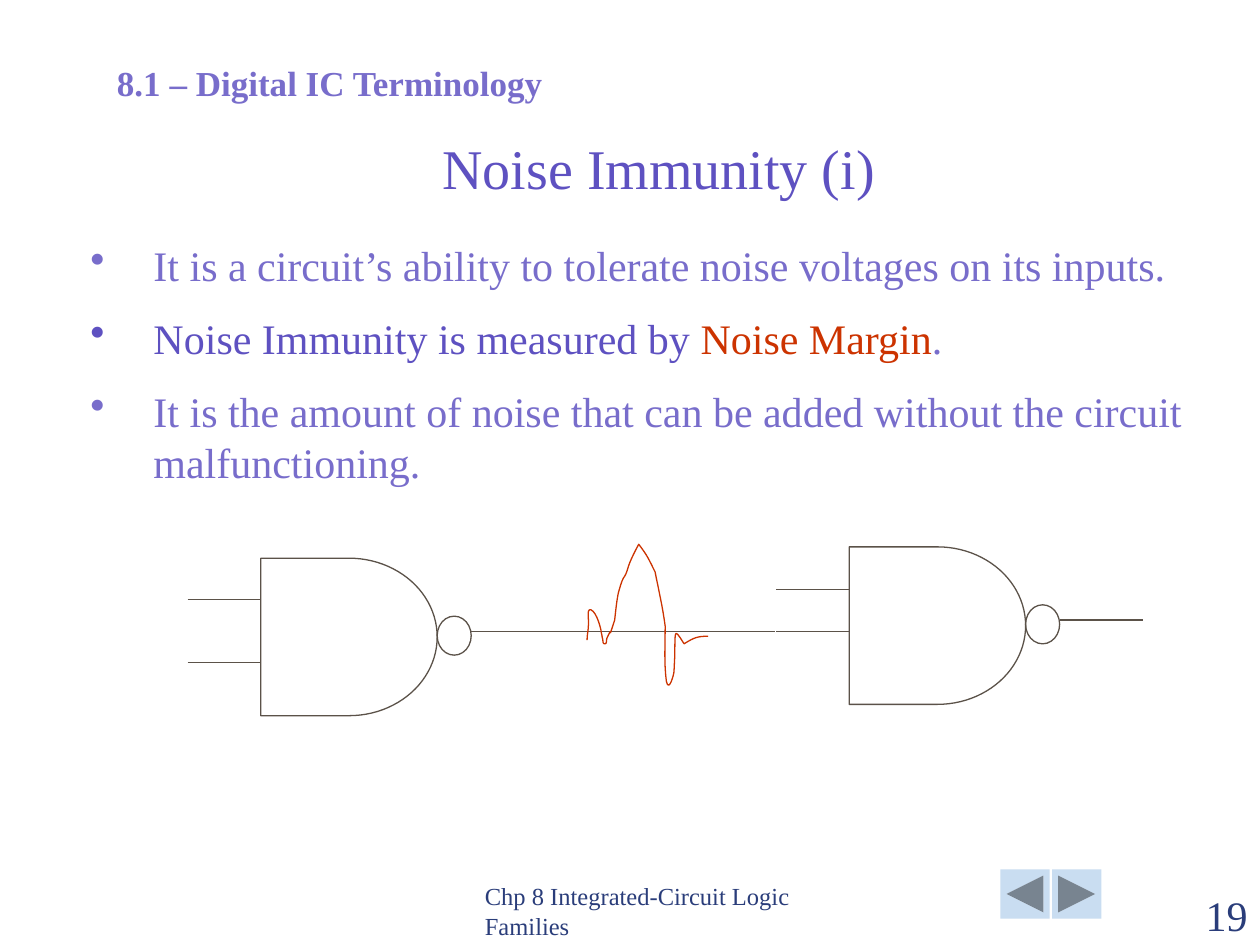
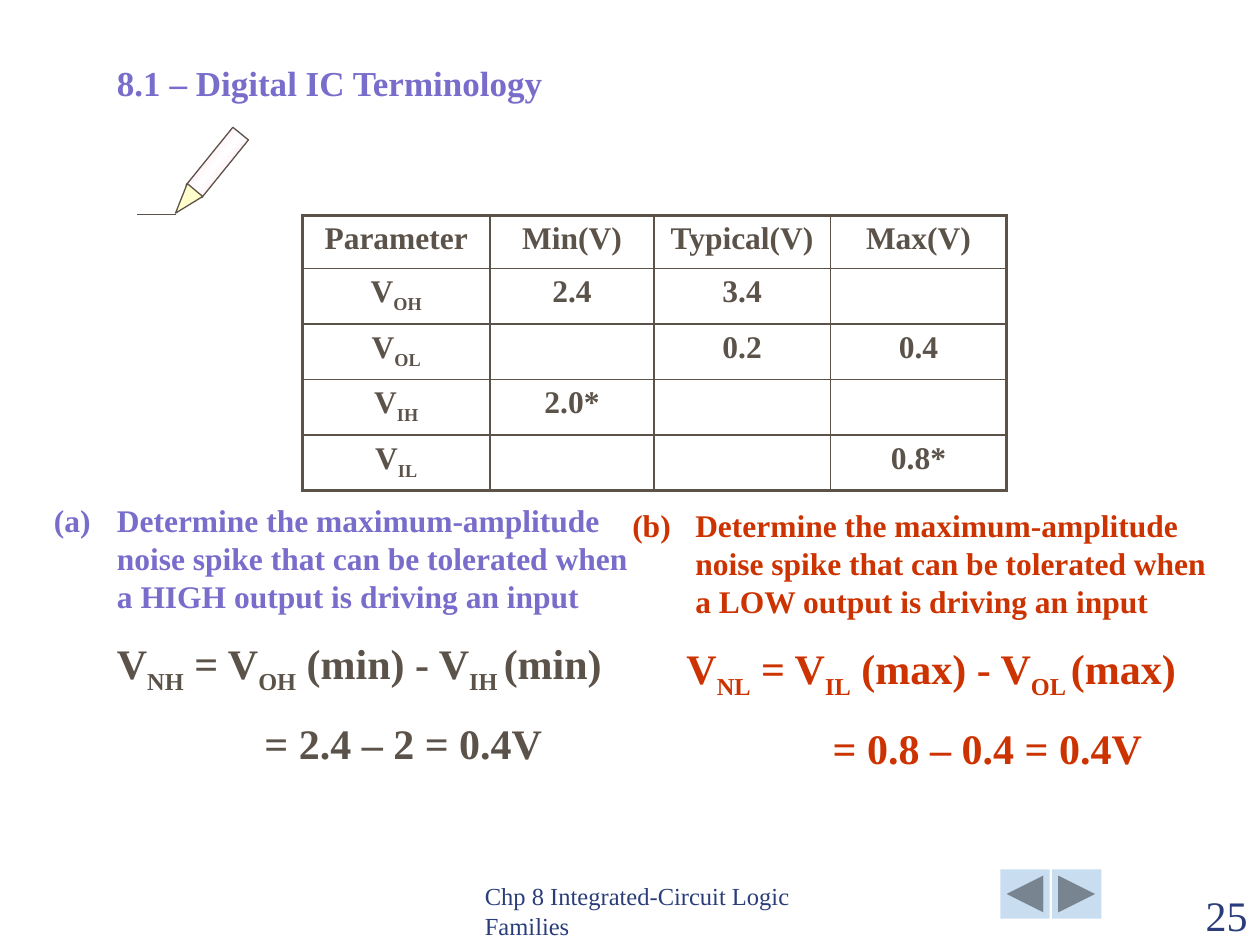
from dataclasses import dataclass
from copy import deepcopy
from typing import Any

from lxml.etree import SubElement
from pptx import Presentation
from pptx.dml.color import RGBColor
from pptx.enum.shapes import MSO_CONNECTOR, MSO_SHAPE
from pptx.enum.text import MSO_ANCHOR, MSO_AUTO_SIZE, PP_ALIGN
from pptx.oxml.ns import qn
from pptx.util import Inches, Pt

FONT = "Times New Roman"
VIOLET = "786DCB"
INDIGO = "5E51C1"
RED = "CC3300"
BROWN = "5B5249"
NAVY = "2A3D7A"
BUTTON_BLUE = "C9DDF1"
PINK = "FFC8DC"
WHITE = "FFFFFF"
CREAM = "FFFFCC"

THIN, INNER_BORDER, OUTER_BORDER = 0.75, 1, 2.25
PARAGRAPH_GAP = 13
TITLE_ONLY, BLANK = 5, 6
DOT = ("a:buChar", {"char": "•"})


@dataclass(frozen=True)
class Box:
    left: float
    top: float
    width: float
    height: float

    def lengths(self) -> tuple:
        return tuple(Inches(v) for v in (self.left, self.top, self.width, self.height))


@dataclass(frozen=True)
class TextRun:
    text: str
    color: str
    subscript: bool = False


@dataclass(frozen=True)
class TextParagraph:
    runs: list[TextRun]
    size: float
    bold: bool = False
    align: PP_ALIGN = PP_ALIGN.LEFT
    indent: float = 0
    hanging: float = 0
    bullet: tuple[str, dict[str, str]] | None = None
    line_spacing: float | None = None


@dataclass(frozen=True)
class NandGate:
    left: float
    top: float
    input_offsets: tuple[float, float]


@dataclass(frozen=True)
class NoiseProblem:
    box: Box
    color: str
    formula_color: str
    number: int
    question: str
    formula: str
    formula_indent: float
    result: str
    result_indent: float


def rgb(color: str) -> RGBColor:
    return RGBColor.from_string(color)


def set_format(target: Any, values: dict[str, Any]) -> None:
    for name, value in values.items():
        setattr(target, name, value)


def with_subscripts(text: str, color: str) -> list[TextRun]:
    """Split text at bars; every second part is a subscript."""
    return [TextRun(part, color, index % 2 == 1)
            for index, part in enumerate(text.split("|")) if part]


def write_paragraphs(text_frame: Any, paragraphs: list[TextParagraph]) -> None:
    for index, content in enumerate(paragraphs):
        paragraph = text_frame.paragraphs[0] if index == 0 else text_frame.add_paragraph()
        set_format(paragraph, {
            "alignment": content.align,
            "line_spacing": content.line_spacing,
            "space_before": Pt(PARAGRAPH_GAP if index else 0),
        })
        properties = paragraph._p.get_or_add_pPr()
        properties.set("marL", str(Inches(content.indent)))
        properties.set("indent", str(Inches(-content.hanging)))
        if content.bullet:
            tag, attributes = content.bullet
            SubElement(properties, qn(tag), attributes)
        for text_run in content.runs:
            run = paragraph.add_run()
            run.text = text_run.text
            set_format(run.font, {"name": FONT, "size": Pt(content.size), "bold": content.bold})
            run.font.color.rgb = rgb(text_run.color)
            if text_run.subscript:
                run._r.get_or_add_rPr().set("baseline", "-25000")


def add_text(slide: Any, box: Box, paragraphs: list[TextParagraph],
             anchor: MSO_ANCHOR = MSO_ANCHOR.TOP) -> None:
    text_frame = slide.shapes.add_textbox(*box.lengths()).text_frame
    set_format(text_frame, {"word_wrap": True, "vertical_anchor": anchor})
    write_paragraphs(text_frame, paragraphs)


def style_outline(shape: Any, color: str) -> None:
    shape.line.color.rgb = rgb(color)
    shape.line.width = Pt(THIN)


def add_shape(slide: Any, kind: MSO_SHAPE, box: Box, fill: str | None = None,
              outline: str | None = BROWN, rotation: float = 0) -> Any:
    shape = slide.shapes.add_shape(kind, *box.lengths())
    shape.shadow.inherit = False
    shape.rotation = rotation
    if fill:
        shape.fill.solid()
        shape.fill.fore_color.rgb = rgb(fill)
    else:
        shape.fill.background()
    if outline:
        style_outline(shape, outline)
    else:
        shape.line.fill.background()
    return shape


def add_wire(slide: Any, start: float, end: float, height: float) -> None:
    """Draw a thin horizontal line."""
    wire = slide.shapes.add_connector(
        MSO_CONNECTOR.STRAIGHT, Inches(start), Inches(height), Inches(end), Inches(height))
    style_outline(wire, BROWN)
    SubElement(wire._element.spPr, qn("a:effectLst"))


def add_frame(slide: Any, number: int) -> None:
    """Add the section heading, navigation buttons, footer and page number."""
    add_text(slide, Box(0.83, 0.44, 4.02, 0.43), [TextParagraph(
        [TextRun("8.1 – Digital IC Terminology", VIOLET)], 20, bold=True)])
    buttons = (MSO_SHAPE.ACTION_BUTTON_BACK_OR_PREVIOUS, MSO_SHAPE.ACTION_BUTTON_FORWARD_OR_NEXT)
    for index, kind in enumerate(buttons):
        add_shape(slide, kind, Box(7.94 + 0.41 * index, 6.9, 0.39, 0.39), BUTTON_BLUE, None)
    add_text(slide, Box(3.75, 7.01, 3.17, 0.5), [TextParagraph(
        [TextRun("Chp 8 Integrated-Circuit Logic Families", NAVY)], 14)], MSO_ANCHOR.BOTTOM)
    add_text(slide, Box(9, 7.01, 1, 0.5), [TextParagraph(
        [TextRun(str(number), NAVY)], 24, align=PP_ALIGN.RIGHT)], MSO_ANCHOR.BOTTOM)


def set_title(slide: Any, text: str) -> None:
    title = slide.shapes.title
    names = ("left", "top", "width", "height")
    set_format(title, dict(zip(names, Box(0.98, 0.96, 8.5, 0.67).lengths())))
    set_format(title.text_frame, {"word_wrap": True, "auto_size": MSO_AUTO_SIZE.NONE,
                                  "vertical_anchor": MSO_ANCHOR.BOTTOM})
    write_paragraphs(title.text_frame, [TextParagraph(
        [TextRun(text, INDIGO)], 32, align=PP_ALIGN.CENTER, line_spacing=0.7)])


def add_nand_gate(slide: Any, gate: NandGate) -> None:
    lead, body_width, bubble_width = 0.58, 1.4, 0.27
    body_right = gate.left + body_width
    bubble_right = body_right + bubble_width
    for offset in gate.input_offsets:
        add_wire(slide, gate.left - lead, gate.left, gate.top + offset)
    add_wire(slide, bubble_right, bubble_right + 0.66, gate.top + 0.58)
    add_shape(slide, MSO_SHAPE.FLOWCHART_DELAY, Box(gate.left, gate.top, body_width, 1.25))
    add_shape(slide, MSO_SHAPE.OVAL, Box(body_right, gate.top + 0.46, bubble_width, 0.31))


NOISE_START = (4.66, 5.08)
NOISE_CURVES = [
    ((4.66, 5.04), (4.67, 5), (4.67, 4.97)), ((4.68, 4.93), (4.65, 4.83), (4.69, 4.84)),
    ((4.74, 4.86), (4.77, 5), (4.77, 5)), ((4.77, 5.02), (4.78, 5.04), (4.78, 5.06)),
    ((4.79, 5.08), (4.78, 5.11), (4.8, 5.11)), ((4.82, 5.11), (4.81, 5.08), (4.82, 5.06)),
    ((4.88, 4.93), (4.81, 5.13), (4.88, 4.92)), ((4.88, 4.9), (4.9, 4.73), (4.91, 4.7)),
    ((4.96, 4.52), (4.95, 4.63), (4.99, 4.49)), ((5.01, 4.43), (5.07, 4.32), (5.07, 4.32)),
    ((5.14, 4.41), (5.15, 4.44), (5.2, 4.54)), ((5.23, 4.69), (5.26, 4.82), (5.28, 4.97)),
    ((5.28, 5.11), (5.27, 5.27), (5.29, 5.41)), ((5.31, 5.5), (5.35, 5.35), (5.35, 5.33)),
    ((5.37, 5.02), (5.33, 4.95), (5.43, 5.11)), ((5.51, 5.06), (5.54, 5.05), (5.62, 5.05)),
]


def add_noise_spike(slide: Any, steps: int = 8) -> None:
    """Trace the Bézier curves of the spike with short segments."""
    points, start = [], NOISE_START
    for first, second, end in NOISE_CURVES:
        for step in range(1, steps + 1):
            t = step / steps
            points.append(tuple(
                Inches((1 - t) ** 3 * a + 3 * (1 - t) ** 2 * t * b + 3 * (1 - t) * t ** 2 * c
                       + t ** 3 * d)
                for a, b, c, d in zip(start, first, second, end)))
        start = end
    builder = slide.shapes.build_freeform(*(Inches(v) for v in NOISE_START))
    builder.add_line_segments(points, close=False)
    spike = builder.convert_to_shape()
    spike.shadow.inherit = False
    spike.fill.background()
    style_outline(spike, RED)


def add_pencil(slide: Any) -> None:
    barrel = add_shape(slide, MSO_SHAPE.RECTANGLE, Box(1.43, 1.21, 0.59, 0.16), rotation=309)
    barrel.fill.gradient()
    barrel.fill.gradient_angle = 90
    stop_list = barrel._element.spPr.find(".//" + qn("a:gsLst"))
    stop_list.append(deepcopy(stop_list[0]))
    for index, (stop, color) in enumerate(zip(barrel.fill.gradient_stops, (PINK, WHITE, PINK))):
        stop.position = index / 2
        stop.color.rgb = rgb(color)
    add_shape(slide, MSO_SHAPE.ISOSCELES_TRIANGLE, Box(1.39, 1.48, 0.16, 0.24), CREAM,
              rotation=220.1)
    add_wire(slide, 1.09, 1.4, 1.7)


VOLTAGES = [
    ["Parameter", "Min(V)", "Typical(V)", "Max(V)"],
    ["V|OH|", "2.4", "3.4", ""],
    ["V|OL|", "", "0.2", "0.4"],
    ["V|IH|", "2.0*", "", ""],
    ["V|IL|", "", "", "0.8*"],
]


def set_borders(cell: Any, outer_sides: dict[str, bool]) -> None:
    properties = cell._tc.get_or_add_tcPr()
    for side, is_outer in outer_sides.items():
        width = Pt(OUTER_BORDER if is_outer else INNER_BORDER)
        border = SubElement(properties, qn(f"a:ln{side}"), {"w": str(width)})
        SubElement(SubElement(border, qn("a:solidFill")), qn("a:srgbClr"), {"val": BROWN})


def add_voltage_table(slide: Any) -> None:
    widths, row_height = (1.49, 1.3, 1.4, 1.4), 0.42
    last_row, last_column = len(VOLTAGES) - 1, len(widths) - 1
    box = Box(2.4, 1.71, sum(widths), row_height * len(VOLTAGES))
    table = slide.shapes.add_table(len(VOLTAGES), len(widths), *box.lengths()).table
    set_format(table, {"first_row": False, "horz_banding": False})
    for column, width in zip(table.columns, widths):
        column.width = Inches(width)
    for row_index, row in enumerate(VOLTAGES):
        for column_index, text in enumerate(row):
            cell = table.cell(row_index, column_index)
            set_borders(cell, {"L": column_index == 0, "R": column_index == last_column,
                               "T": row_index == 0, "B": row_index == last_row})
            cell.fill.background()
            write_paragraphs(cell.text_frame, [TextParagraph(
                with_subscripts(text, BROWN), 18, bold=True, align=PP_ALIGN.CENTER)])


def add_noise_problem(slide: Any, problem: NoiseProblem) -> None:
    numbering = ("a:buAutoNum", {"type": "alphaLcParenBoth", "startAt": str(problem.number)})
    add_text(slide, problem.box, [
        TextParagraph([TextRun(problem.question, problem.color)], 18, bold=True,
                      indent=0.5, hanging=0.5, bullet=numbering),
        TextParagraph(with_subscripts(problem.formula, problem.formula_color), 24, bold=True,
                      indent=problem.formula_indent),
        TextParagraph([TextRun(problem.result, problem.formula_color)], 24, bold=True,
                      indent=problem.result_indent),
    ])


QUESTION = ("Determine the maximum-amplitude noise spike that can be tolerated when "
            "a {} output is driving an input")
PROBLEMS = [
    NoiseProblem(Box(0.33, 3.93, 4.77, 2.2), VIOLET, BROWN, 1, QUESTION.format("HIGH"),
                 "V|NH| = V|OH| (min) - V|IH |(min)", 0.5, "= 2.4 – 2 = 0.4V", 1.67),
    NoiseProblem(Box(4.92, 3.97, 4.86, 2.2), RED, RED, 2, QUESTION.format("LOW"),
                 "V|NL| = V|IL| (max) - V|OL |(max)", 0.43, "= 0.8 – 0.4 = 0.4V", 1.59),
]
IMMUNITY_POINTS = [
    [TextRun("It is a circuit’s ability to tolerate noise voltages on its inputs.", VIOLET)],
    [TextRun("Noise Immunity is measured by", INDIGO), TextRun(" Noise Margin", RED),
     TextRun(".", VIOLET)],
    [TextRun("It is the amount of noise that can be added without the circuit malfunctioning.",
             VIOLET)],
]


def build_immunity_slide(presentation: Any) -> None:
    slide = presentation.slides.add_slide(presentation.slide_layouts[TITLE_ONLY])
    add_frame(slide, 19)
    set_title(slide, "Noise Immunity (i)")
    add_text(slide, Box(0.62, 1.85, 9, 2.1), [
        TextParagraph(runs, 24, indent=0.5, hanging=0.5, bullet=DOT) for runs in IMMUNITY_POINTS])
    for gate in (NandGate(2.07, 4.43, (0.33, 0.83)), NandGate(6.74, 4.34, (0.34, 0.67))):
        add_nand_gate(slide, gate)
    add_wire(slide, 4.4, 6.15, 5.01)
    add_noise_spike(slide)


def build_margin_slide(presentation: Any) -> None:
    slide = presentation.slides.add_slide(presentation.slide_layouts[BLANK])
    add_frame(slide, 25)
    add_voltage_table(slide)
    for problem in PROBLEMS:
        add_noise_problem(slide, problem)
    add_pencil(slide)


def main() -> None:
    presentation = Presentation()
    set_format(presentation, {"slide_width": Inches(10), "slide_height": Inches(7.5)})
    build_immunity_slide(presentation)
    build_margin_slide(presentation)
    presentation.save("out.pptx")


if __name__ == "__main__":
    main()
